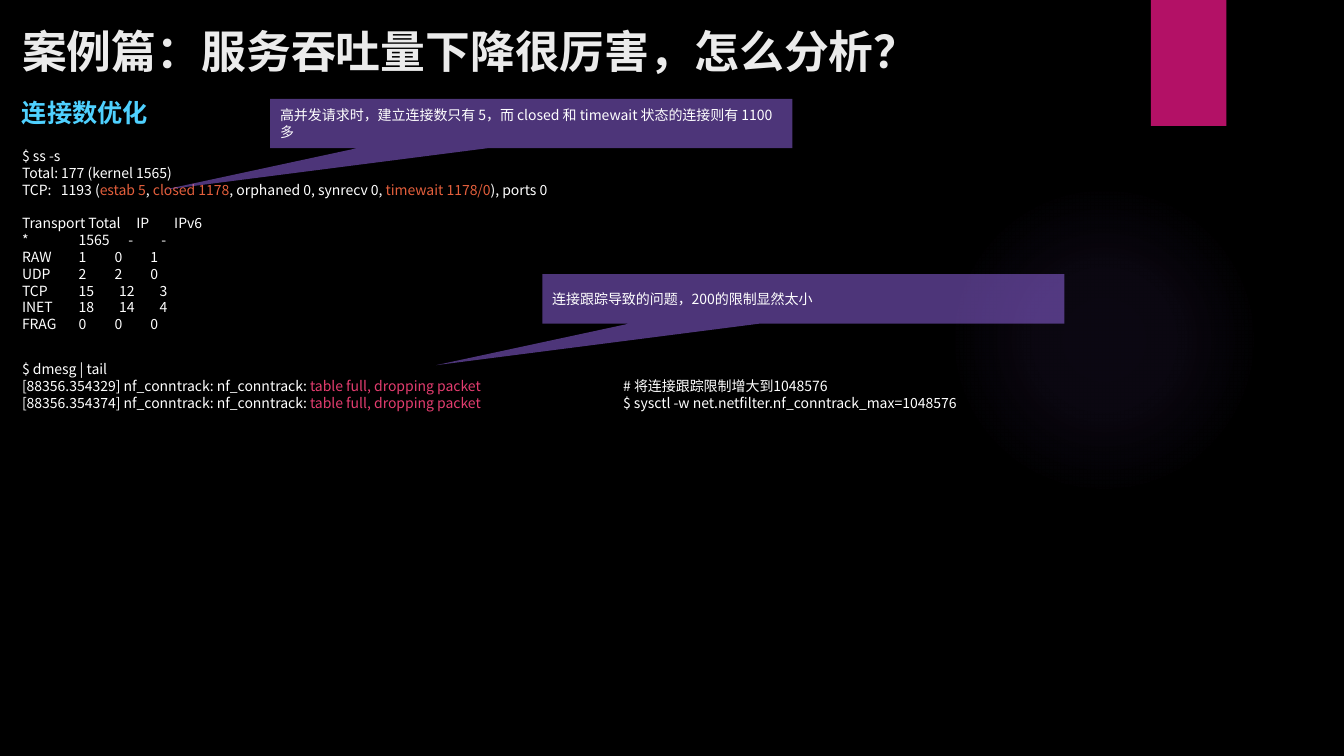
import pptx
import pptx.util
import pptx.dml.color
import pptx.enum.shapes
import pptx.enum.text
import pptx.oxml
import pptx.oxml.ns
import lxml.etree

RGBColor = pptx.dml.color.RGBColor
Pt = pptx.util.Pt
SHAPES = pptx.enum.shapes.MSO_SHAPE
ANCHOR = pptx.enum.text.MSO_ANCHOR
FIT = pptx.enum.text.MSO_AUTO_SIZE

BLACK = RGBColor(0x00, 0x00, 0x00)
WHITE = RGBColor(0xFF, 0xFF, 0xFF)
PALE = RGBColor(0xEB, 0xEB, 0xEB)
SKY = RGBColor(0x4F, 0xD1, 0xFF)
ORANGE = RGBColor(0xE4, 0x5F, 0x3C)
ROSE = RGBColor(0xE3, 0x3D, 0x6F)
MAGENTA = RGBColor(0xB3, 0x11, 0x66)
VIOLET = RGBColor(0x9B, 0x6B, 0xF2)
FONT = "Noto Sans CJK SC"

# The grid has 160 columns and 90 rows of square cells; a text line takes two rows.
CELL = pptx.util.Inches(1 / 12)
LINE = Pt(12)
MARGIN = 1.44

# A line is a list of spans; a span is (text, colour).
TITLE = [[("案例篇：服务吞吐量下降很厉害，怎么分析？", PALE)]]
HEADING = [[("连接数优化", SKY)]]
SOCKET_SUMMARY = [
    [("$ ss -s", WHITE)],
    [("Total: 177 (kernel 1565)", WHITE)],
    [("TCP:   1193 (", WHITE), ("estab 5", ORANGE), (", ", WHITE),
     ("closed 1178", ORANGE), (", orphaned 0, synrecv 0, ", WHITE),
     ("timewait 1178/0", ORANGE), ("), ports 0", WHITE)],
]
TRANSPORTS = [[(row, WHITE)] for row in (
    "Transport Total     IP        IPv6",
    "*\t  1565      -         -",
    "RAW\t  1         0         1",
    "UDP\t  2         2         0",
    "TCP\t  15        12        3",
    "INET\t  18        14        4",
    "FRAG\t  0         0         0",
)]
KERNEL_LOG = [[("$ dmesg | tail", WHITE)]] + [
    [(f"[88356.{moment}] nf_conntrack: nf_conntrack: ", WHITE),
     ("table full, dropping packet", ROSE)]
    for moment in ("354329", "354374")
]
REMEDY = [
    [("# 将连接跟踪限制增大到1048576", WHITE)],
    [("$ sysctl -w net.netfilter.nf_conntrack_max=1048576", WHITE)],
]
CONNECTION_NOTE = "高并发请求时，建立连接数只有 5，而 closed 和 timewait 状态的连接则有 1100 多"
TRACKING_NOTE = "连接跟踪导致的问题，200的限制显然太小"


def cells(*counts):
    return [round(count * CELL) for count in counts]


def write(frame, lines, size=10, bold=False, line_height=LINE, gap_before=None):
    """Fill a frame; gap_before is the line that has one empty line's space above."""
    for number, spans in enumerate(lines):
        para = frame.paragraphs[0] if number == 0 else frame.add_paragraph()
        para.alignment = pptx.enum.text.PP_ALIGN.LEFT
        para.line_spacing = line_height
        if number and number == gap_before:
            para.space_before = LINE
        font = para.font
        font.name, font.size, font.bold = FONT, Pt(size), bold
        font.color.rgb = spans[0][1]
        defaults = para._p.pPr.find(pptx.oxml.ns.qn("a:defRPr"))
        for text, colour in spans:
            span = para.add_run()
            span.text = text
            span.font.color.rgb = colour
        lxml.etree.SubElement(defaults, pptx.oxml.ns.qn("a:ea"), typeface=FONT)


def add_text(page, place, lines, wrap=True, **style):
    frame = page.shapes.add_textbox(*cells(*place)).text_frame
    frame.word_wrap = wrap
    write(frame, lines, **style)
    return frame


def add_plain_shape(page, kind, place, colour):
    shape = page.shapes.add_shape(kind, *cells(*place))
    shape.shadow.inherit = False
    shape.fill.solid()
    shape.fill.fore_color.rgb = colour
    shape.line.fill.background()
    return shape


def add_callout(page, left, top, note):
    callout = add_plain_shape(page, SHAPES.RECTANGULAR_CALLOUT,
                              (left, top, 62.16, 5.88), VIOLET)
    callout.adjustments[0], callout.adjustments[1] = -0.704, 1.343
    colour = callout._element.spPr.find(".//" + pptx.oxml.ns.qn("a:srgbClr"))
    lxml.etree.SubElement(colour, pptx.oxml.ns.qn("a:alpha"), val="50000")
    frame = callout.text_frame
    frame.word_wrap = True
    frame.vertical_anchor = ANCHOR.MIDDLE
    write(frame, [[(note, WHITE)]])


def add_glow(page, place):
    """Add a circle whose faint violet fades out towards its edge."""
    glow = add_plain_shape(page, SHAPES.OVAL, place, VIOLET)
    stops = "".join(
        f'<a:gs pos="{share}000"><a:srgbClr val="{VIOLET}">'
        f'<a:alpha val="{opacity}000"/></a:srgbClr></a:gs>'
        for share, opacity in ((0, 7), (36, 6), (69, 0), (100, 0)))
    gradient = pptx.oxml.parse_xml(
        f'<a:gradFill {pptx.oxml.ns.nsdecls("a")}><a:gsLst>{stops}</a:gsLst>'
        '<a:path path="circle"><a:fillToRect l="50000" t="50000" r="50000" b="50000"/>'
        '</a:path></a:gradFill>')
    properties = glow._element.spPr
    properties.replace(properties.find(pptx.oxml.ns.qn("a:solidFill")), gradient)


def main():
    deck = pptx.Presentation()
    deck.slide_width, deck.slide_height = cells(160, 90)
    page = deck.slides.add_slide(deck.slide_layouts[5])
    page.background.fill.solid()
    page.background.fill.fore_color.rgb = BLACK

    add_glow(page, (112.92, 21.96, 36.96, 36.96))
    add_plain_shape(page, SHAPES.RECTANGLE, (137, 0, 9, 15), MAGENTA)

    title = page.shapes.title
    title.left, title.top, title.width, title.height = cells(MARGIN, 2, 125, 8)
    title.text_frame.auto_size = FIT.NONE
    title.text_frame.vertical_anchor = ANCHOR.MIDDLE
    write(title.text_frame, TITLE, size=32, bold=True, line_height=1.0)

    heading = add_text(page, (MARGIN, 11, 17.52, 4.8), HEADING, wrap=False,
                       size=18, bold=True, line_height=1.0)
    heading.vertical_anchor = ANCHOR.MIDDLE

    add_text(page, (MARGIN, 17, 146, 23.4), SOCKET_SUMMARY + TRANSPORTS,
             gap_before=len(SOCKET_SUMMARY))
    add_callout(page, 32.16, 11.76, CONNECTION_NOTE)
    add_text(page, (MARGIN, 42.36, 146, 7.3), KERNEL_LOG)
    add_callout(page, 64.56, 32.64, TRACKING_NOTE)
    add_text(page, (73, 44.4, 81.72, 5.3), REMEDY)
    deck.save("out.pptx")


if __name__ == "__main__":
    main()
